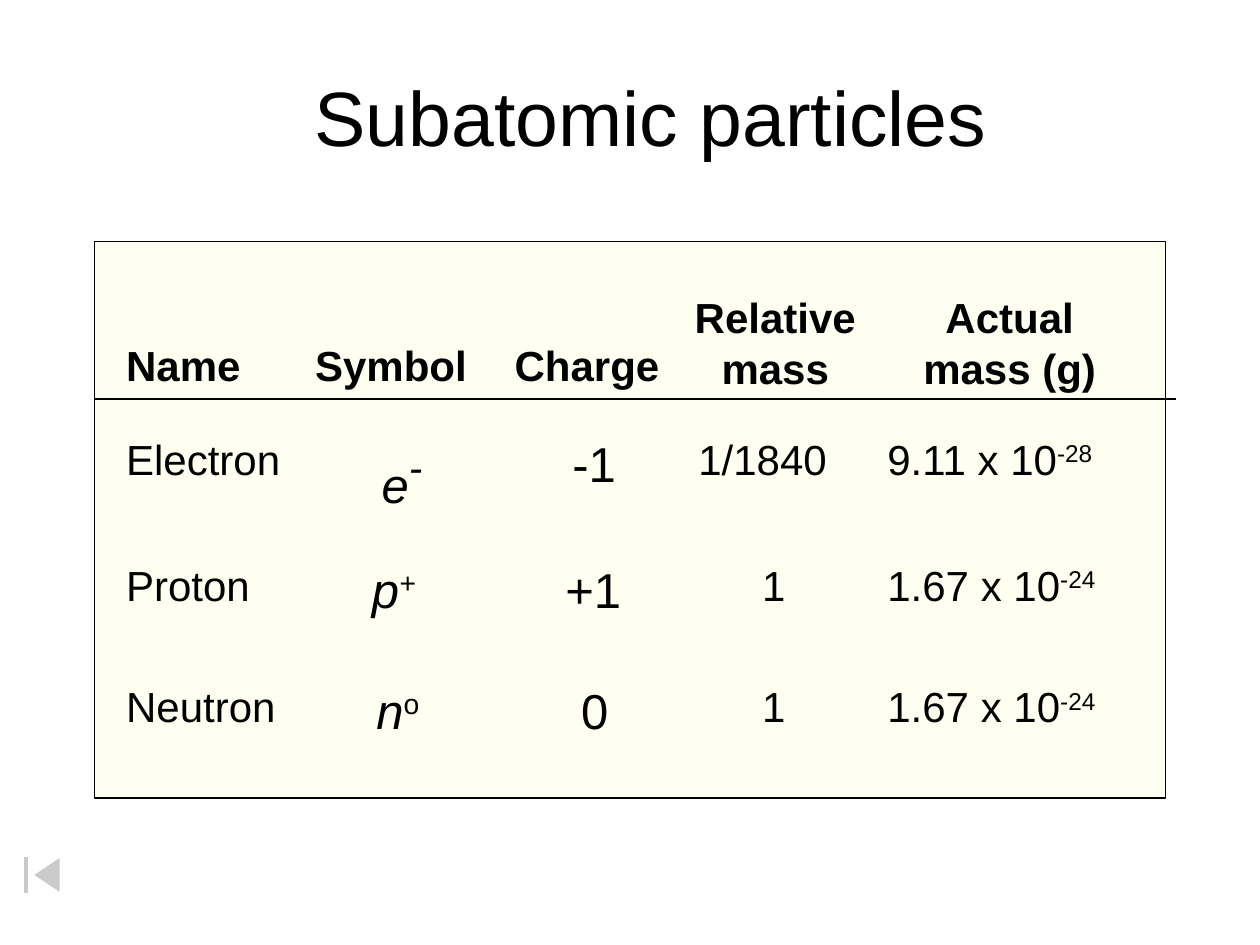
from lxml import etree
from pptx import Presentation
from pptx import util as u
from pptx.dml.color import RGBColor
from pptx.enum import shapes, text
from pptx.oxml.ns import qn

Pt = u.Pt
BLACK, WHITE, YELLOW = "000000", "FFFFFF", "FFFF99"

presentation = Presentation()
presentation.slide_width, presentation.slide_height = Pt(720), Pt(540)
slide = presentation.slides.add_slide(presentation.slide_layouts[6])


def paint(color_format, color, opacity=100):
    color_format.rgb = RGBColor.from_string(color)
    if opacity < 100:
        element = color_format._xFill.find(qn("a:srgbClr"))
        etree.SubElement(element, qn("a:alpha")).set("val", str(opacity * 1000))


def add_text(left, top, width, height, lines, size, bold=False, centered=False):
    box = slide.shapes.add_textbox(Pt(left), Pt(top), Pt(width), Pt(height))
    box.text_frame.word_wrap = True
    box.text_frame.text = lines
    for paragraph in box.text_frame.paragraphs:
        paragraph.alignment = text.PP_ALIGN.CENTER if centered else text.PP_ALIGN.LEFT
        paragraph.font.name = "Arial"
        paragraph.font.size = Pt(size)
        paragraph.font.bold = bold
        paint(paragraph.font.color, BLACK)
    return box.text_frame.paragraphs[0]


panel = slide.shapes.add_shape(
    shapes.MSO_SHAPE.RECTANGLE, Pt(54), Pt(138), Pt(612), Pt(318))
button = slide.shapes.add_shape(
    shapes.MSO_SHAPE.ACTION_BUTTON_BEGINNING, Pt(0), Pt(486), Pt(48), Pt(28))
for shape, fill, opacity, line in (
    (panel, YELLOW, 13, BLACK),
    (button, WHITE, 50, WHITE),
):
    shape.shadow.inherit = False
    shape.fill.solid()
    paint(shape.fill.fore_color, fill, opacity)
    paint(shape.line.color, line)
    shape.line.width = Pt(0.75)

add_text(66, 36, 612, 60, "Subatomic particles", 44, centered=True)

for left, width, heading in ((65, 94, "Name"), (173, 118, "Symbol"), (287, 111, "Charge")):
    add_text(left, 190.4, width, 36, heading, 24, bold=True)
for left, width, heading in ((380, 126, "Relative\nmass"), (508, 138, "Actual\nmass (g)")):
    add_text(left, 163.3, width, 65, heading, 24, bold=True, centered=True)

particles = (
    (244, "Electron", (211, "e", "-", 40, True), (320, "-1"), (392, "1/1840"), ("9.11 x 10", "-28")),
    (316, "Proton", (205.4, "p", "+", 28, True), (316, "+1"), (428.4, "1"), ("1.67 x 10", "-24")),
    (385.4, "Neutron", (208, "n", "o", 28, False), (325, "0"), (428.4, "1"), ("1.67 x 10", "-24")),
)
for top, name, symbol, charge, relative_mass, actual_mass in particles:
    add_text(65, top, 127, 36, name, 24)

    symbol_left, letter, sign, sign_size, sign_italic = symbol
    paragraph = add_text(symbol_left, top, 50, 41, letter, 28)
    paragraph.runs[0].font.italic = True
    superscript = paragraph.add_run()
    superscript.text = sign
    superscript.font.size = Pt(sign_size)
    superscript.font.italic = sign_italic
    superscript.font._element.set("baseline", "30000")

    charge_left, charge_value = charge
    add_text(charge_left, top, 50, 41, charge_value, 28)

    mass_left, mass_value = relative_mass
    add_text(mass_left, top, 107, 36, mass_value, 24)

    base, exponent = actual_mass
    paragraph = add_text(500, top, 176, 36, base, 24)
    superscript = paragraph.add_run()
    superscript.text = exponent
    superscript.font._element.set("baseline", "30000")

rule = slide.shapes.add_connector(
    shapes.MSO_CONNECTOR.STRAIGHT, Pt(54), Pt(228), Pt(672), Pt(228))
paint(rule.line.color, BLACK)
rule.line.width = Pt(0.75)
etree.SubElement(rule._element.spPr, qn("a:effectLst"))

presentation.save("out.pptx")
